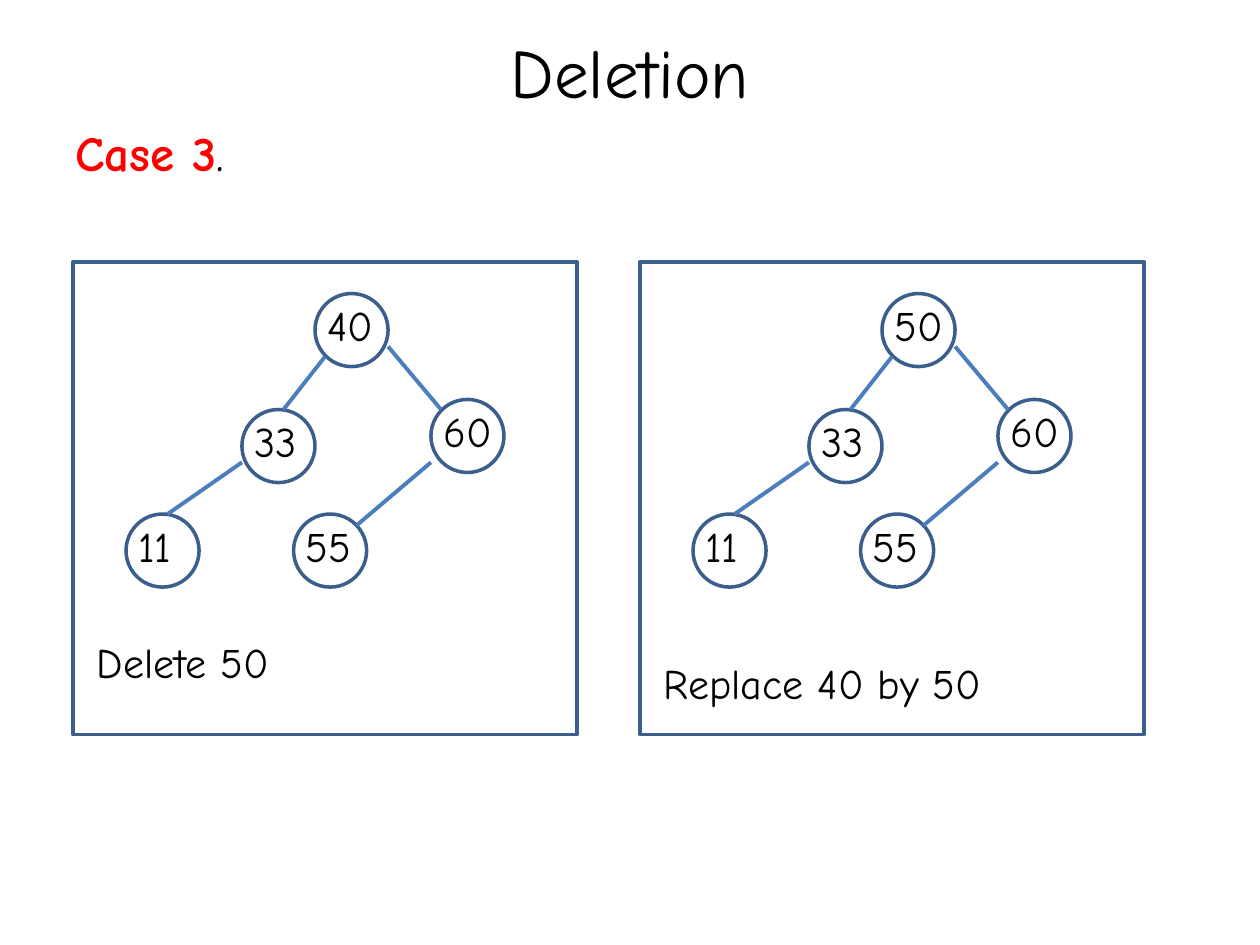
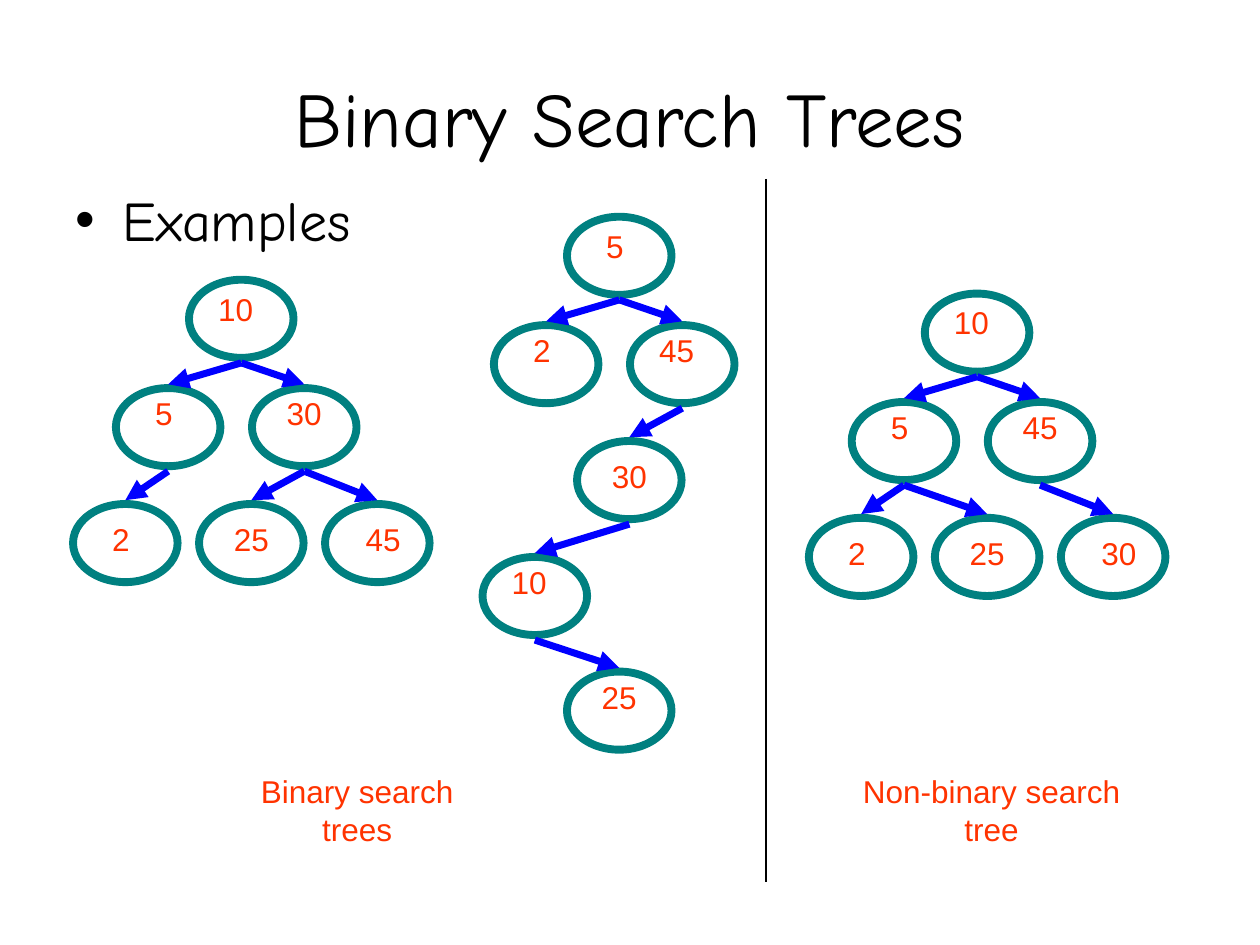
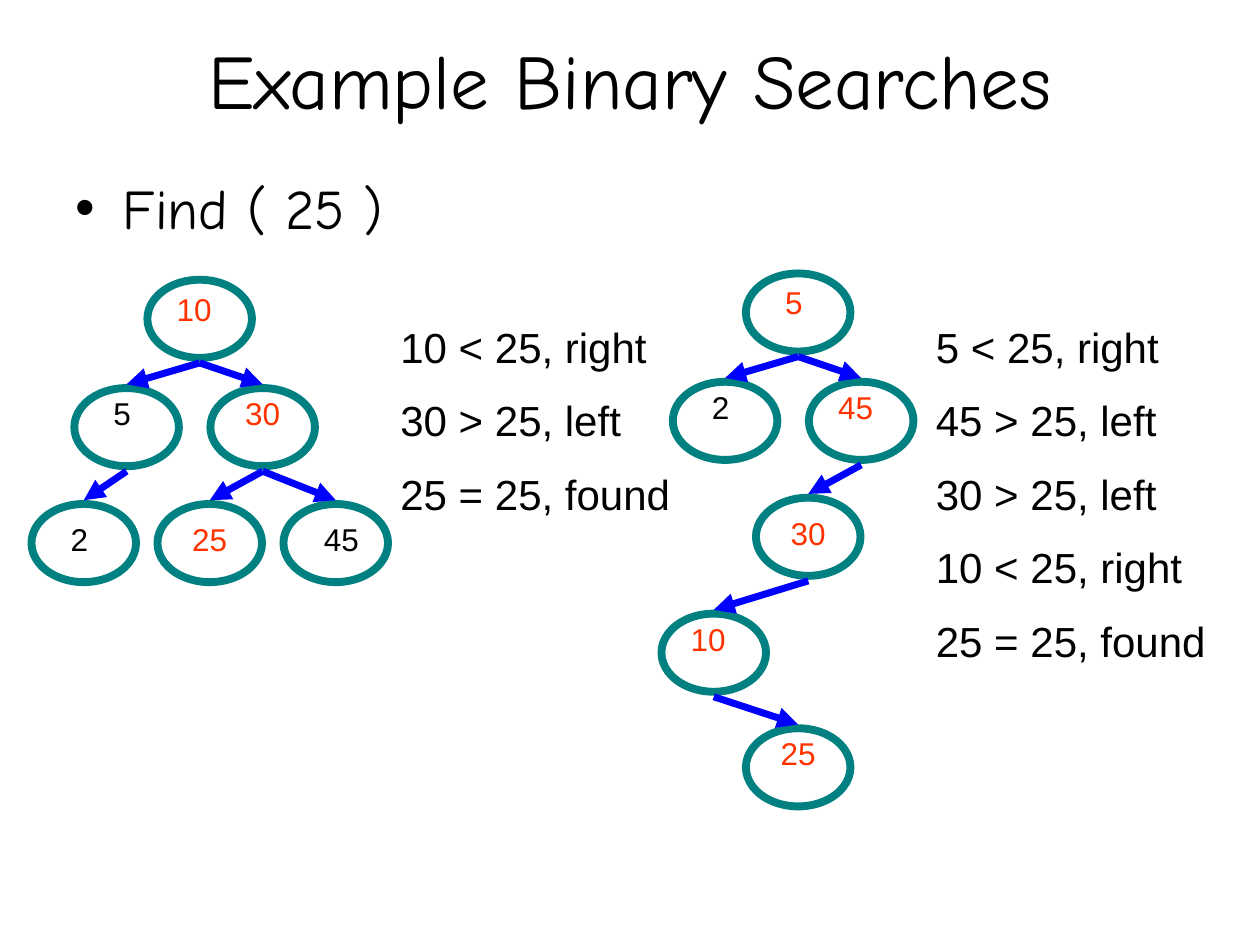
from dataclasses import dataclass

from pptx import Presentation
from pptx.dml.color import RGBColor
from pptx.enum.shapes import MSO_CONNECTOR, MSO_SHAPE
from pptx.enum.text import MSO_ANCHOR, MSO_AUTO_SIZE, PP_ALIGN
from pptx.oxml.ns import qn
from pptx.util import Inches, Pt
from lxml import etree

STRAIGHT = MSO_CONNECTOR.STRAIGHT
OVAL = MSO_SHAPE.OVAL
RECTANGLE = MSO_SHAPE.RECTANGLE
LEFT = PP_ALIGN.LEFT
CENTER = PP_ALIGN.CENTER
MIDDLE = MSO_ANCHOR.MIDDLE
NO_RESIZE = MSO_AUTO_SIZE.NONE

BLACK = RGBColor(0x00, 0x00, 0x00)
RED = RGBColor(0xFF, 0x00, 0x00)
ORANGE = RGBColor(0xFF, 0x33, 0x00)
TEAL = RGBColor(0x00, 0x80, 0x80)
ARROW_BLUE = RGBColor(0x00, 0x00, 0xFF)
OUTLINE_BLUE = RGBColor(0x3A, 0x5F, 0x8C)
EDGE_BLUE = RGBColor(0x4B, 0x7E, 0xBC)

HAND_FONT = "Comic Neue"
PLAIN_FONT = "Arial"

NODE_WIDTH = 0.83
NODE_HEIGHT = 0.62
ARROW_START_GAP = 0.04
ARROW_END_GAP = 0.03
CIRCLE_SIZE = 0.58
PANEL_WIDTH = 4
PANEL_HEIGHT = 3.75


@dataclass
class Node:
    """Place of a tree node and of the label inside it."""
    left: float
    top: float
    label_left: float
    label_top: float
    label_width: float


BALANCED_NODES = [
    Node(0.92, 0, 0.08, 0.03, 0.58),
    Node(0.34, 0.86, 0.17, 0, 0.42),
    Node(1.42, 0.86, 0.08, 0, 0.67),
    Node(0, 1.78, 0.17, 0.08, 0.42),
    Node(1, 1.78, 0.08, 0.08, 0.67),
    Node(2, 1.78, 0.17, 0.08, 0.58),
]
SEARCH_EDGES = [(0, 1), (0, 2), (1, 3), (2, 4), (2, 5)]
NON_SEARCH_EDGES = [(0, 1), (0, 2), (1, 3), (1, 4), (2, 5)]

CHAIN_NODES = [
    Node(0.67, 0, 0.17, 0.03, 0.42),
    Node(0.09, 0.86, 0.17, 0, 0.42),
    Node(1.17, 0.86, 0.08, 0, 0.58),
    Node(0.75, 1.78, 0.08, 0.08, 0.67),
    Node(0, 2.7, 0.08, 0, 0.58),
    Node(0.67, 3.61, 0.08, 0, 0.67),
]
CHAIN_EDGES = [(0, 1), (0, 2), (2, 3), (3, 4), (4, 5)]

BALANCED_VALUES = [10, 5, 30, 2, 25, 45]
NON_SEARCH_VALUES = [10, 5, 45, 2, 25, 30]
CHAIN_VALUES = [5, 2, 45, 30, 10, 25]

PANEL_CIRCLES = [(1.92, 0.25), (2.84, 1.09), (1.75, 2), (1.34, 1.17), (0.42, 2)]
PANEL_EDGES = [
    (2, 0.75, 1.67, 1.17),
    (1.34, 1.59, 0.75, 2),
    (2.5, 0.67, 2.92, 1.17),
    (2.84, 1.59, 2.25, 2.09),
]


def style_runs(paragraph, size, font_name, color):
    """Format every run of a paragraph alike."""
    for run in paragraph.runs:
        run.font.size = Pt(size)
        run.font.name = font_name
        run.font.color.rgb = color


def place(shape, left, top, width, height):
    """Move and size a shape, in inches."""
    shape.left, shape.top = Inches(left), Inches(top)
    shape.width, shape.height = Inches(width), Inches(height)


def add_text(shapes, text, box, size, font_name, color=BLACK, alignment=LEFT, gap=0):
    """Add a wrapping text box with a gap between its paragraphs."""
    text_frame = shapes.add_textbox(*map(Inches, box)).text_frame
    text_frame.word_wrap = True
    text_frame.text = text
    for index, paragraph in enumerate(text_frame.paragraphs):
        paragraph.alignment = alignment
        if index and gap:
            paragraph.space_before = Pt(gap)
        style_runs(paragraph, size, font_name, color)


def add_outline(shapes, kind, box, color, weight):
    """Add an unfilled outlined shape."""
    shape = shapes.add_shape(kind, *map(Inches, box))
    shape.shadow.inherit = False
    shape.fill.background()
    shape.line.color.rgb = color
    shape.line.width = Pt(weight)


def add_line(shapes, ends, color, weight, arrow=False):
    """Add a straight line, optionally with an arrowhead at its end."""
    connector = shapes.add_connector(STRAIGHT, *map(Inches, ends))
    connector.line.color.rgb = color
    connector.line.width = Pt(weight)
    properties = connector._element.spPr
    if arrow:
        line = properties.find(qn("a:ln"))
        etree.SubElement(line, qn("a:tailEnd")).set("type", "triangle")
    etree.SubElement(properties, qn("a:effectLst"))


def add_titled_slide(presentation, title, title_box, title_size, body, body_box, bulleted=True):
    """Add a slide with a centred title and one body line."""
    slide = presentation.slides.add_slide(presentation.slide_layouts[1])
    title_shape, body_shape = slide.shapes.title, slide.placeholders[1]
    for shape, text, box in ((title_shape, title, title_box), (body_shape, body, body_box)):
        place(shape, *box)
        shape.text_frame.auto_size = NO_RESIZE
        shape.text_frame.text = text
    title_shape.text_frame.vertical_anchor = MIDDLE
    title_paragraph = title_shape.text_frame.paragraphs[0]
    title_paragraph.alignment = CENTER
    style_runs(title_paragraph, title_size, HAND_FONT, BLACK)
    paragraph = body_shape.text_frame.paragraphs[0]
    paragraph.space_before = Pt(0)
    if not bulleted:
        etree.SubElement(paragraph._p.get_or_add_pPr(), qn("a:buNone"))
    style_runs(paragraph, 32, HAND_FONT, BLACK)
    return slide


def add_tree(slide, left, top, nodes, edges, values, path_values):
    """Draw a tree of ovals and arrows, with the values on the path in orange."""
    for node in nodes:
        box = (left + node.left, top + node.top, NODE_WIDTH, NODE_HEIGHT)
        add_outline(slide.shapes, OVAL, box, TEAL, 4.5)
    for start, end in edges:
        parent, child = nodes[start], nodes[end]
        ends = (
            left + parent.left + NODE_WIDTH / 2,
            top + parent.top + NODE_HEIGHT + ARROW_START_GAP,
            left + child.left + NODE_WIDTH / 2,
            top + child.top - ARROW_END_GAP,
        )
        add_line(slide.shapes, ends, ARROW_BLUE, 4, arrow=True)
    for node, value in zip(nodes, values):
        box = (left + node.left + node.label_left, top + node.top + node.label_top,
               node.label_width, 0.5)
        color = ORANGE if value in path_values else BLACK
        add_text(slide.shapes, str(value), box, 18, PLAIN_FONT, color, CENTER)


def add_deletion_panel(slide, left, top, values, caption, caption_top, caption_width):
    """Draw a framed tree with its caption as one group."""
    shapes = slide.shapes.add_group_shape().shapes
    add_outline(shapes, RECTANGLE, (left, top, PANEL_WIDTH, PANEL_HEIGHT), OUTLINE_BLUE, 2)
    for (circle_left, circle_top), value in zip(PANEL_CIRCLES, values):
        x, y = left + circle_left, top + circle_top
        add_outline(shapes, OVAL, (x, y, CIRCLE_SIZE, CIRCLE_SIZE), OUTLINE_BLUE, 2)
        add_text(shapes, str(value), (x, y, 0.67, 0.5), 24, HAND_FONT)
    for x1, y1, x2, y2 in PANEL_EDGES:
        add_line(shapes, (left + x1, top + y1, left + x2, top + y2), EDGE_BLUE, 2.25)
    caption_box = (left + 0.09, top + caption_top, caption_width, 0.5)
    add_text(shapes, caption, caption_box, 24, HAND_FONT)


def build_deletion_slide(presentation):
    """Show the third deletion case before and after replacement."""
    slide = add_titled_slide(presentation, "Deletion", (0.5, 0.17, 9, 0.78), 39.6,
                             "Case 3", (0.5, 0.92, 9, 6), bulleted=False)
    paragraph = slide.placeholders[1].text_frame.paragraphs[0]
    paragraph.add_run().text = "."
    style_runs(paragraph, 28, HAND_FONT, BLACK)
    case_font = paragraph.runs[0].font
    case_font.bold = True
    case_font.color.rgb = RED
    add_deletion_panel(slide, 0.58, 2.08, [40, 60, 55, 33, 11], "Delete 50", 2.92, 2.25)
    add_deletion_panel(slide, 5.08, 2.08, [50, 60, 55, 33, 11], "Replace 40 by 50", 3.09, 3.08)


def build_examples_slide(presentation):
    """Compare two binary search trees with a tree that is not one."""
    slide = add_titled_slide(presentation, "Binary Search Trees", (0.5, 0.3, 9, 1.25), 44,
                             "Examples", (0.5, 1.42, 9, 5.28))
    add_tree(slide, 0.58, 2.22, BALANCED_NODES, SEARCH_EDGES, BALANCED_VALUES, BALANCED_VALUES)
    add_tree(slide, 6.42, 2.33, BALANCED_NODES, NON_SEARCH_EDGES,
             NON_SEARCH_VALUES, NON_SEARCH_VALUES)
    add_tree(slide, 3.83, 1.72, CHAIN_NODES, CHAIN_EDGES, CHAIN_VALUES, CHAIN_VALUES)
    for text, left, width in (("Binary search trees", 1.67, 2.33),
                              ("Non-binary search tree", 6.58, 2.58)):
        add_text(slide.shapes, text, (left, 6.08, width, 0.9), 18, PLAIN_FONT, ORANGE, CENTER)
    add_line(slide.shapes, (6.08, 1.42, 6.08, 7), BLACK, 1)


def build_search_slide(presentation):
    """Trace the search for 25 in two trees."""
    slide = add_titled_slide(presentation, "Example Binary Searches", (0.5, 0, 9, 1.25), 44,
                             "Find ( 25 )", (0.5, 1.33, 9, 5.42))
    add_tree(slide, 0.25, 2.22, BALANCED_NODES, SEARCH_EDGES, BALANCED_VALUES, [10, 30, 25])
    add_tree(slide, 5.25, 2.17, CHAIN_NODES, CHAIN_EDGES, CHAIN_VALUES, [5, 45, 30, 10, 25])
    balanced_steps = ["10 < 25, right", "30 > 25, left", "25 = 25, found"]
    chain_steps = ["5 < 25, right", "45 > 25, left", "30 > 25, left",
                   "10 < 25, right", "25 = 25, found"]
    for steps, left, height in ((balanced_steps, 3.08, 1.72), (chain_steps, 7.33, 2.93)):
        add_text(slide.shapes, "\n".join(steps), (left, 2.5, 2.5, height), 24, PLAIN_FONT, gap=13.2)


def main():
    """Build and save the presentation."""
    presentation = Presentation()
    presentation.slide_width, presentation.slide_height = Inches(10), Inches(7.5)
    build_deletion_slide(presentation)
    build_examples_slide(presentation)
    build_search_slide(presentation)
    presentation.save("out.pptx")


if __name__ == "__main__":
    main()
